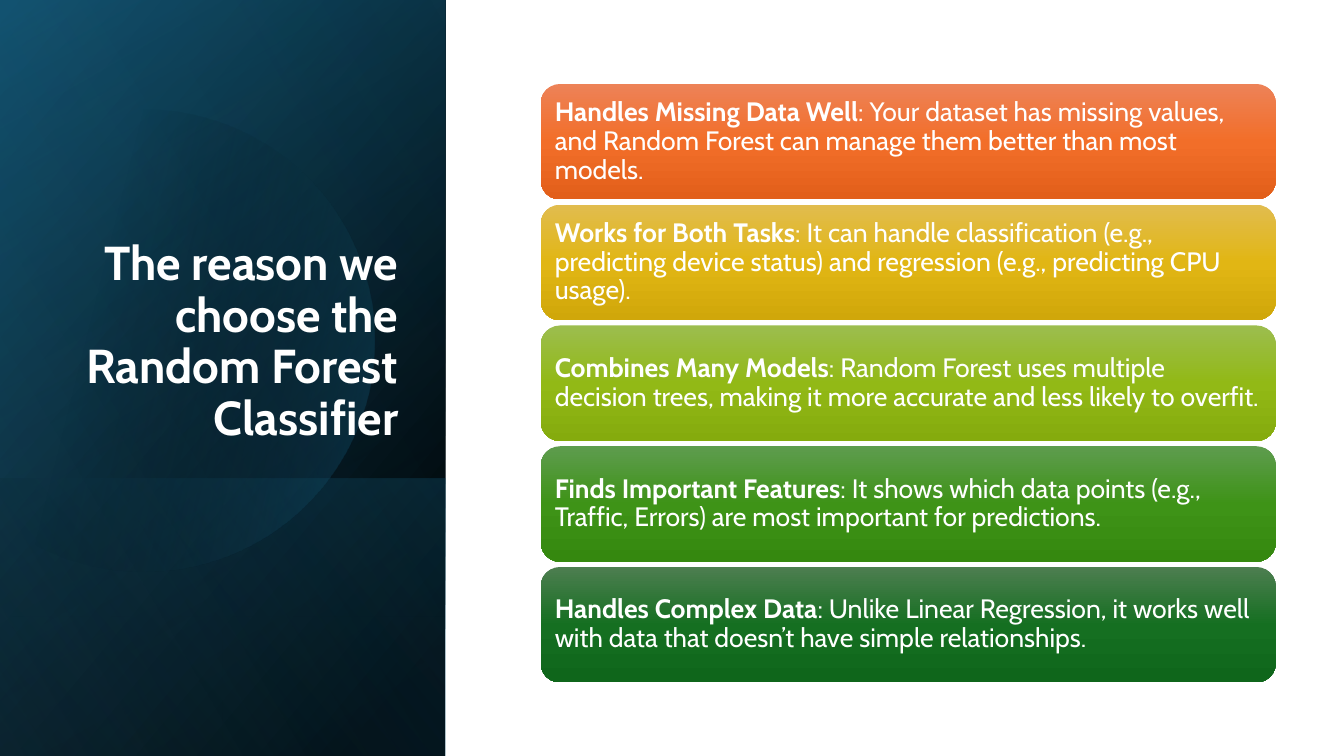
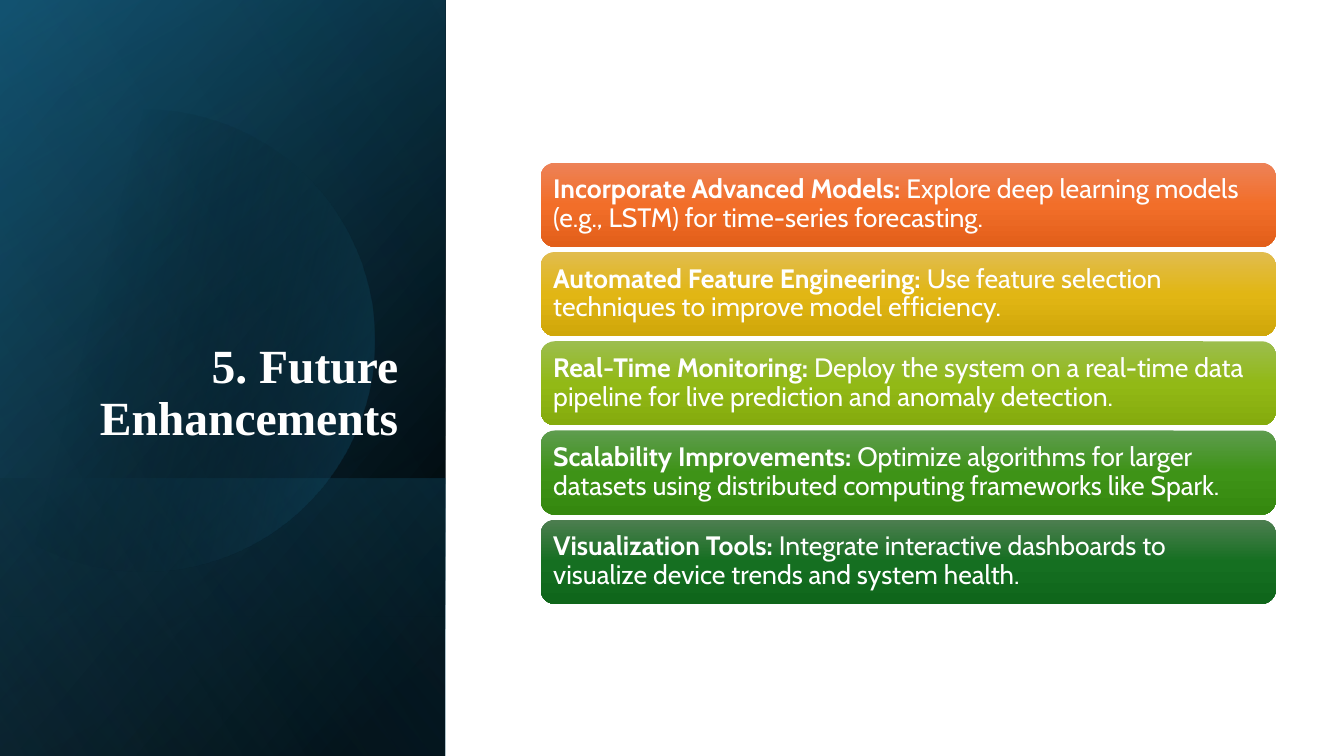
"""Build two slides with a dark title panel and a stack of coloured cards."""
from dataclasses import dataclass
from math import acos, cos, pi, sin
from typing import NamedTuple

from lxml.etree import SubElement
from pptx import Presentation
from pptx.dml.color import RGBColor
from pptx.enum.shapes import MSO_SHAPE as Shape
from pptx.enum.text import MSO_ANCHOR as Anchor, MSO_AUTO_SIZE as AutoSize, PP_ALIGN as Align
from pptx.oxml.ns import qn
from pptx.util import Emu, Pt

EMU_PER_PX = 9525
SLIDE_W, SLIDE_H = 1280, 720
PANEL_W = 424
CARD_LEFT, CARD_W, CARD_GAP, CARDS_MIDDLE = 515, 700, 5, 365
CARD_INSET = 8
TITLE_BOX = (61, 177, 328, 252)
TITLE_SIZE, CARD_SIZE = 34, 19
LINE_SPACING = 0.9
TITLE_ONLY = 5
BODY_FONT, SERIF_FONT = "Cabin", "Times New Roman"

COLOURS = {
    "white": "FFFFFF", "black": "000000",
    "navy": "104862", "teal": "156082", "sky": "46B1E1",
    "orange top": "ED8257", "orange": "F26E29", "orange base": "E25F1A",
    "gold top": "E1BC4E", "gold": "E1B614", "gold base": "D0A70A",
    "lime top": "9CBD4E", "lime": "92B916", "lime base": "85AB0D",
    "green top": "5E9C4E", "green": "3E9317", "green base": "35880F",
    "forest top": "4D7E50", "forest": "156F21", "forest base": "0F661B",
}
CARD_HUES = ("orange", "gold", "lime", "green", "forest")


class Stop(NamedTuple):
    """One gradient stop, with position and opacity in percent."""
    position: int
    colour: str
    opacity: int = 100


class Layer(NamedTuple):
    """One rectangular layer of the panel, measured upright on the slide."""
    top: int
    height: int
    angle: int
    stops: tuple[Stop, ...]


class Card(NamedTuple):
    """A bold lead and the text that follows it."""
    lead: str
    detail: str


@dataclass(frozen=True)
class Page:
    """The content of one slide."""
    title: str
    title_font: str
    card_height: int
    cards: tuple[Card, ...]


LAYERS_BELOW = (
    Layer(0, SLIDE_H, 50, (Stop(8, "black"), Stop(100, "navy"))),
    Layer(0, SLIDE_H, 30, (Stop(0, "black", 0), Stop(99, "teal", 46))),
    Layer(456, 264, 130, (Stop(2, "teal", 29), Stop(100, "black", 30))),
)
LAYER_ABOVE = Layer(0, SLIDE_H, 120, (Stop(0, "black", 0), Stop(99, "sky", 11)))
DISC_X, DISC_Y, DISC_RADIUS, DISC_STEPS = 137, 324, 220, 90
DISC_ANGLE = 14
DISC_STOPS = (Stop(29, "black", 0), Stop(100, "teal", 43))

PAGES = (
    Page("The reason we choose the Random Forest Classifier", BODY_FONT, 110, (
        Card("Handles Missing Data Well",
             ": Your dataset has missing values, and Random Forest can manage them "
             "better than most models."),
        Card("Works for Both Tasks",
             ": It can handle classification (e.g., predicting device status) and "
             "regression (e.g., predicting CPU usage)."),
        Card("Combines Many Models",
             ": Random Forest uses multiple decision trees, making it more accurate "
             "and less likely to overfit."),
        Card("Finds Important Features",
             ": It shows which data points (e.g., Traffic, Errors) are most important "
             "for predictions."),
        Card("Handles Complex Data",
             ": Unlike Linear Regression, it works well with data that doesn’t have "
             "simple relationships."),
    )),
    Page("5. Future Enhancements", SERIF_FONT, 80, (
        Card("Incorporate Advanced Models: ",
             "Explore deep learning models (e.g., LSTM) for time-series forecasting."),
        Card("Automated Feature Engineering: ",
             "Use feature selection techniques to improve model efficiency."),
        Card("Real-Time Monitoring: ",
             "Deploy the system on a real-time data pipeline for live prediction and "
             "anomaly detection."),
        Card("Scalability Improvements: ",
             "Optimize algorithms for larger datasets using distributed computing "
             "frameworks like Spark."),
        Card("Visualization Tools: ",
             "Integrate interactive dashboards to visualize device trends and system "
             "health."),
    )),
)


def px(length: float) -> Emu:
    """Turn pixels into EMU."""
    return Emu(round(length * EMU_PER_PX))


def fill_gradient(shape, angle: int, stops: tuple[Stop, ...]) -> None:
    """Give a shape a linear gradient, without outline or shadow."""
    shape.shadow.inherit = False
    shape.line.fill.background()
    shape.fill.background()
    properties = shape.element.spPr
    blank = properties.find(qn("a:noFill"))
    gradient = SubElement(properties, qn("a:gradFill"), rotWithShape="1")
    properties.replace(blank, gradient)
    stop_list = SubElement(gradient, qn("a:gsLst"))
    for stop in stops:
        entry = SubElement(stop_list, qn("a:gs"), pos=str(stop.position * 1000))
        colour = SubElement(entry, qn("a:srgbClr"), val=COLOURS[stop.colour])
        if stop.opacity < 100:
            SubElement(colour, qn("a:alpha"), val=str(stop.opacity * 1000))
    SubElement(gradient, qn("a:lin"), ang=str(angle * 60000), scaled="0")


def format_run(run, font: str, size: int, bold: bool) -> None:
    """Set a run in white with the given font."""
    run.font.name = font
    run.font.size = Pt(size)
    run.font.bold = bold
    run.font.color.rgb = RGBColor.from_string(COLOURS["white"])


def add_layer(slide, layer: Layer) -> None:
    """Draw a panel layer as a mirrored rectangle turned by a quarter."""
    left = (PANEL_W - layer.height) / 2
    top = layer.top + (layer.height - PANEL_W) / 2
    sheet = slide.shapes.add_shape(
        Shape.RECTANGLE, px(left), px(top), px(layer.height), px(PANEL_W))
    sheet.rotation = 90
    sheet.element.spPr.find(qn("a:xfrm")).set("flipH", "1")
    fill_gradient(sheet, layer.angle, layer.stops)


def add_disc(slide) -> None:
    """Draw the disc that the left slide edge cuts off."""
    limit = pi - acos(DISC_X / DISC_RADIUS)
    turns = [limit * (2 * step / DISC_STEPS - 1) for step in range(DISC_STEPS + 1)]
    rim = [(px(DISC_X + DISC_RADIUS * cos(turn)), px(DISC_Y + DISC_RADIUS * sin(turn)))
           for turn in turns]
    outline = slide.shapes.build_freeform(*rim[0])
    outline.add_line_segments(rim[1:], close=True)
    fill_gradient(outline.convert_to_shape(), DISC_ANGLE, DISC_STOPS)


def add_panel(slide) -> None:
    """Draw the dark panel behind the title."""
    for layer in LAYERS_BELOW:
        add_layer(slide, layer)
    add_disc(slide)
    add_layer(slide, LAYER_ABOVE)


def set_title(slide, page: Page) -> None:
    """Place the title on the panel and bring it to the front."""
    title = slide.shapes.title
    title.left, title.top, title.width, title.height = map(px, TITLE_BOX)
    frame = title.text_frame
    frame.text = page.title
    frame.word_wrap = True
    frame.auto_size = AutoSize.NONE
    frame.vertical_anchor = Anchor.BOTTOM
    paragraph = frame.paragraphs[0]
    paragraph.alignment = Align.RIGHT
    paragraph.line_spacing = LINE_SPACING
    format_run(paragraph.runs[0], page.title_font, TITLE_SIZE, True)
    title.element.getparent().append(title.element)


def add_card(slide, card: Card, hue: str, top: float, height: int) -> None:
    """Draw one rounded card with its text."""
    box = slide.shapes.add_shape(
        Shape.ROUNDED_RECTANGLE, px(CARD_LEFT), px(top), px(CARD_W), px(height))
    fill_gradient(box, 90, (
        Stop(0, f"{hue} top"), Stop(50, hue), Stop(100, f"{hue} base")))
    frame = box.text_frame
    frame.word_wrap = True
    frame.vertical_anchor = Anchor.MIDDLE
    frame.margin_left = frame.margin_right = px(CARD_INSET)
    frame.margin_top = frame.margin_bottom = px(CARD_INSET)
    paragraph = frame.paragraphs[0]
    paragraph.text = card.lead
    paragraph.alignment = Align.LEFT
    paragraph.line_spacing = LINE_SPACING
    paragraph.add_run().text = card.detail
    for run, bold in zip(paragraph.runs, (True, False)):
        format_run(run, BODY_FONT, CARD_SIZE, bold)


def add_cards(slide, page: Page) -> None:
    """Stack the cards around their shared middle line."""
    pitch = page.card_height + CARD_GAP
    first_top = CARDS_MIDDLE - (len(page.cards) * pitch - CARD_GAP) / 2
    for row, (card, hue) in enumerate(zip(page.cards, CARD_HUES)):
        add_card(slide, card, hue, first_top + row * pitch, page.card_height)


def main() -> None:
    """Build and save the presentation."""
    deck = Presentation()
    deck.slide_width, deck.slide_height = px(SLIDE_W), px(SLIDE_H)
    for page in PAGES:
        slide = deck.slides.add_slide(deck.slide_layouts[TITLE_ONLY])
        add_panel(slide)
        set_title(slide, page)
        add_cards(slide, page)
    deck.save("out.pptx")


if __name__ == "__main__":
    main()
